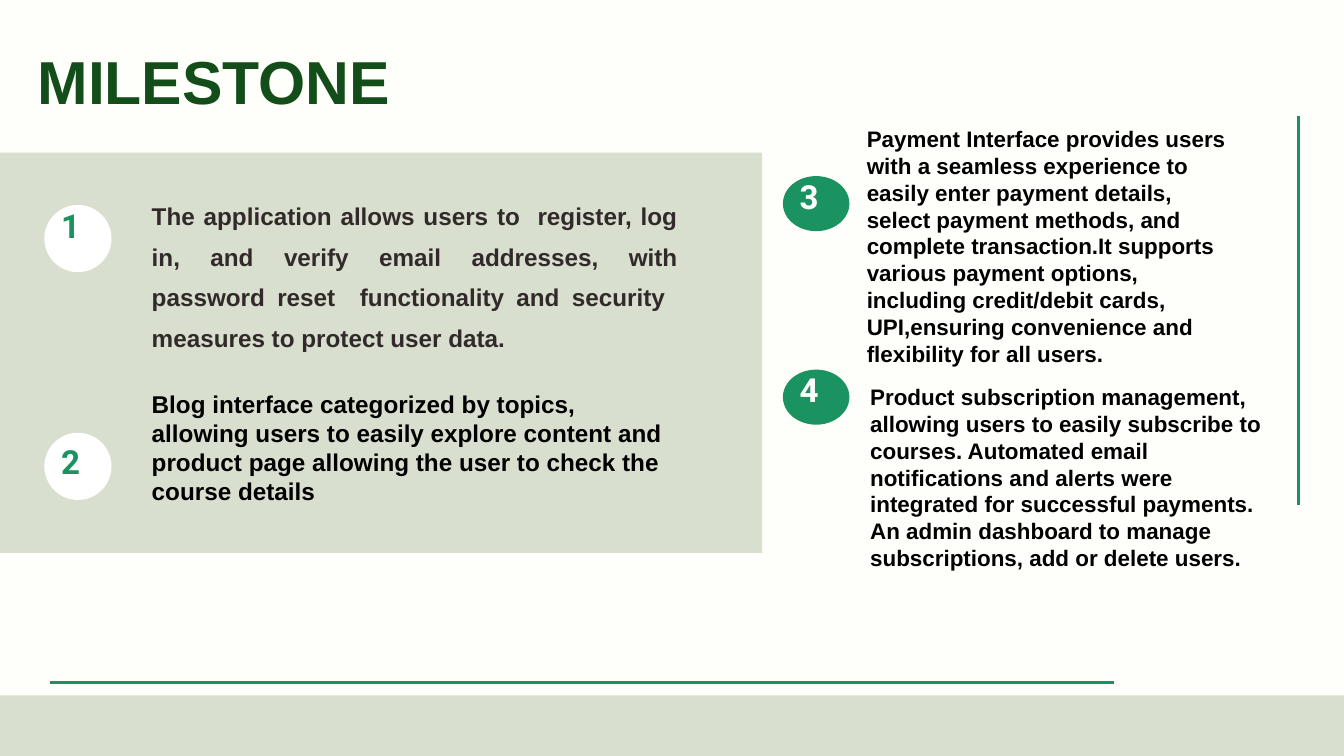
from lxml import etree
from pptx import Presentation
from pptx.dml.color import RGBColor
from pptx.enum.shapes import MSO_CONNECTOR, MSO_SHAPE
from pptx.enum.text import PP_ALIGN
from pptx.oxml.ns import qn
from pptx.util import Inches, Pt

RECTANGLE = MSO_SHAPE.RECTANGLE
OVAL = MSO_SHAPE.OVAL
STRAIGHT = MSO_CONNECTOR.STRAIGHT
LEFT = PP_ALIGN.LEFT
JUSTIFY = PP_ALIGN.JUSTIFY

CREAM, SAGE, GREEN, FOREST = "FEFFFA", "D9DFCE", "1A9360", "134E1A"
WHITE, BLACK, CHARCOAL = "FFFFFF", "000000", "322A2A"


def color(value):
    return RGBColor.from_string(value)


class MilestoneSlide:
    body_font = "Arial"
    number_font = "Roboto"
    number_size = 35.5
    number_indent = 0.25

    def __init__(self, slide, background):
        self.shapes = slide.shapes
        slide.background.fill.solid()
        slide.background.fill.fore_color.rgb = color(background)

    def shape(self, preset, left, top, width, height, fill):
        shape = self.shapes.add_shape(
            preset, Inches(left), Inches(top), Inches(width), Inches(height))
        shape.shadow.inherit = False
        shape.fill.solid()
        shape.fill.fore_color.rgb = color(fill)
        shape.line.fill.background()

    def rule(self, x1, y1, x2, y2):
        line = self.shapes.add_connector(
            STRAIGHT, Inches(x1), Inches(y1), Inches(x2), Inches(y2))
        line.line.color.rgb = color(GREEN)
        line.line.width = Pt(3)
        etree.SubElement(line._element.spPr, qn("a:effectLst"))

    def text(self, content, left, top, width, height, size, ink,
             font=body_font, inset=0.1, align=LEFT, spacing=1.0):
        box = self.shapes.add_textbox(
            Inches(left), Inches(top), Inches(width), Inches(height))
        frame = box.text_frame
        frame.word_wrap = True
        frame.margin_left = frame.margin_right = Inches(inset)
        frame.margin_top = frame.margin_bottom = Inches(inset)
        paragraph = frame.paragraphs[0]
        paragraph.text = content
        paragraph.alignment = align
        paragraph.line_spacing = spacing
        paragraph.font.name = font
        paragraph.font.size = Pt(size)
        paragraph.font.bold = True
        paragraph.font.color.rgb = color(ink)

    def badge(self, number, left, top, width, height, fill, ink, drop=0):
        self.shape(OVAL, left, top, width, height, fill)
        self.text(number, left + self.number_indent, top + drop,
                  width - self.number_indent, height, self.number_size, ink,
                  font=self.number_font, inset=0)


def main():
    deck = Presentation()
    deck.slide_width, deck.slide_height = Inches(20), Inches(11.25)
    page = MilestoneSlide(deck.slides.add_slide(deck.slide_layouts[6]), CREAM)

    # Footer band, title and rules
    page.shape(RECTANGLE, 0, 10.35, 20, 0.9, SAGE)
    page.text("MILESTONE", 0.56, 0.48, 8.88, 1.09, 65, FOREST,
              inset=0, spacing=1.16)
    page.rule(0.75, 10.16, 16.58, 10.16)
    page.rule(19.32, 1.73, 19.32, 7.51)

    # Left panel: milestones 1 and 2
    page.shape(RECTANGLE, 0, 2.27, 11.34, 5.96, SAGE)
    page.badge("1", 0.66, 3.05, 1, 1, WHITE, GREEN)
    page.badge("2", 0.66, 6.44, 1, 1, WHITE, GREEN, drop=0.13)
    page.text("The application allows users to  register, log in, and verify "
              "email addresses, with password reset  functionality and "
              "security  measures to protect user data.",
              2.16, 2.72, 8.03, 2.52, 26, CHARCOAL,
              align=JUSTIFY, spacing=1.4)
    page.text("Blog interface categorized by topics, allowing users to easily "
              "explore content and product page allowing the user to check "
              "the course details",
              2.16, 5.69, 8.03, 1.89, 26, BLACK)

    # Right column: milestones 3 and 4
    for number, top in (("3", 2.62), ("4", 5.5)):
        page.badge(number, 11.65, top, 0.99, 0.82, GREEN, WHITE)
    page.text("Payment Interface provides users with a seamless experience to "
              "easily enter payment details, select payment methods, and "
              "complete transaction.It supports various payment options, "
              "including credit/debit cards, UPI,ensuring convenience and "
              "flexibility for all users.",
              12.8, 1.76, 5.55, 1.89, 24, BLACK)
    page.text("Product subscription management, allowing users to easily "
              "subscribe to courses. Automated email notifications and alerts "
              "were integrated for successful payments. An admin dashboard to "
              "manage subscriptions, add or delete users.",
              12.85, 5.6, 6.25, 2.61, 24, BLACK)

    deck.save("out.pptx")


if __name__ == "__main__":
    main()
